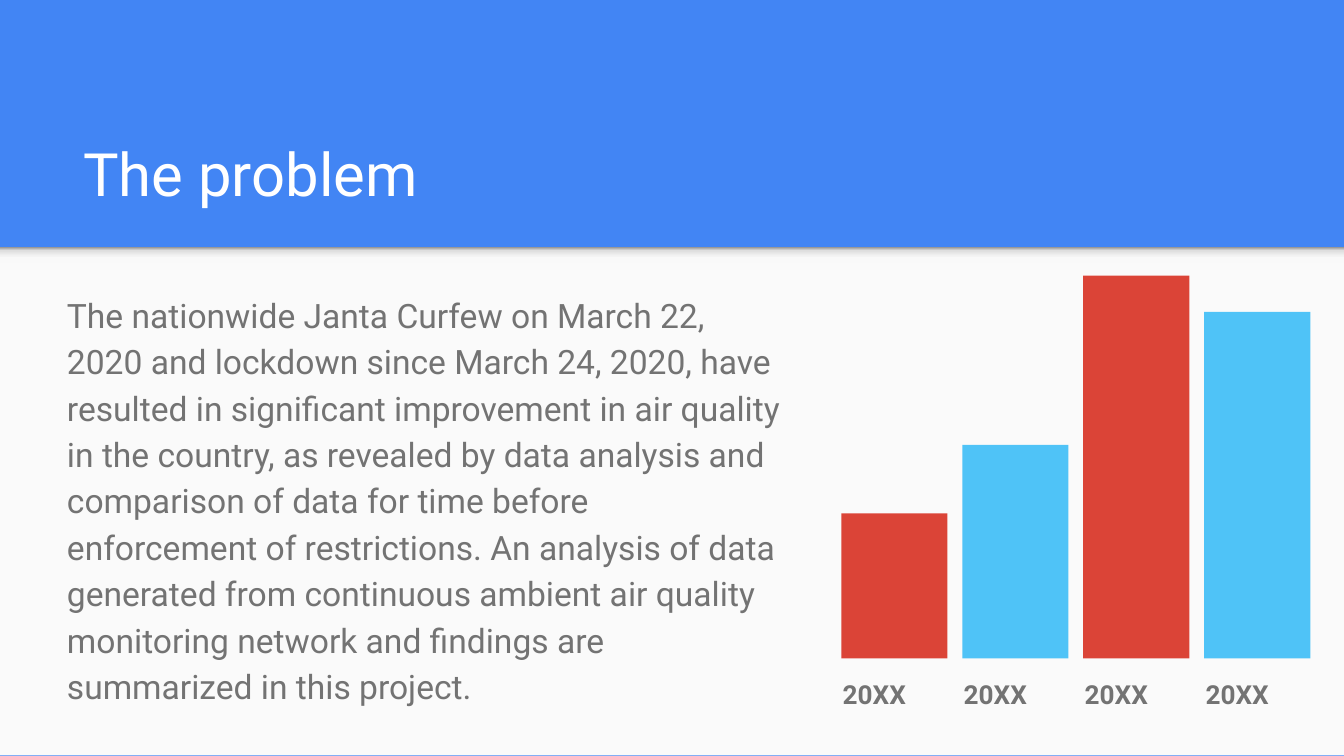
import copy

import lxml.etree
import pptx
import pptx.dml.color
import pptx.enum.shapes
import pptx.enum.text
import pptx.oxml.ns
import pptx.util

Inches = pptx.util.Inches
qn = pptx.oxml.ns.qn
COLORS = {
    "banner": "4285F4", "panel": "FAFAFA", "title": "FFFFFF", "text": "737373",
    "red": "DB4437", "blue": "4FC3F7",
}
MARGINS = {"margin_" + side: Inches(0.1) for side in ("left", "top", "right", "bottom")}
# Position from the bottom up, as a share of the band height
SHADOW_STOPS = [(0.36, "F9F9F9"), (0.8, "DEDEDE"), (1, "999999")]
BODY = (
    "The nationwide Janta Curfew on March 22, 2020 and lockdown since March 24, 2020, "
    "have resulted in significant improvement in air quality in the country, as revealed "
    "by data analysis and comparison of data for time before enforcement of restrictions. "
    "An analysis of data generated from continuous ambient air quality monitoring network "
    "and findings are summarized in this project."
)
# Label, bar height in inches, colour
YEARS = [("20XX", 1.08, "red"), ("20XX", 1.59, "blue"),
         ("20XX", 2.85, "red"), ("20XX", 2.58, "blue")]


def rgb(value):
    return pptx.dml.color.RGBColor.from_string(value)


def apply(target, values):
    for name, value in values.items():
        setattr(target, name, value)


def box_format(box):
    names = ("left", "top", "width", "height")
    return {name: Inches(length) for name, length in zip(names, box)}


def add_rectangle(slide, box, color=None):
    rectangle = slide.shapes.add_shape(
        pptx.enum.shapes.MSO_SHAPE.RECTANGLE, *map(Inches, box))
    rectangle.shadow.inherit = False
    rectangle.line.fill.background()
    if color:
        rectangle.fill.solid()
        rectangle.fill.fore_color.rgb = rgb(COLORS[color])
    return rectangle


def write_text(frame, text, color, size, bold=False, **paragraph_format):
    paragraph = frame.paragraphs[0]
    apply(paragraph, {"alignment": pptx.enum.text.PP_ALIGN.LEFT, **paragraph_format})
    run = paragraph.add_run()
    run.text = text
    apply(run.font, {"name": "Roboto", "size": pptx.util.Pt(size), "bold": bold})
    run.font.color.rgb = rgb(COLORS[color])


def clear_cell(cell):
    cell.fill.background()
    properties = cell._tc.get_or_add_tcPr()
    for index, side in enumerate(("a:lnL", "a:lnR", "a:lnT", "a:lnB")):
        border = lxml.etree.Element(qn(side))
        lxml.etree.SubElement(border, qn("a:noFill"))
        properties.insert(index, border)


def add_panel(slide, box):
    left, top, width, _ = box
    add_rectangle(slide, box, "panel")

    # Soft shadow under the banner
    shadow = add_rectangle(slide, (left, top, width, 0.12))
    shadow.fill.gradient()
    shadow.fill.gradient_angle = 90
    stop_list = shadow.element.spPr.find(".//" + qn("a:gsLst"))
    stop_list.append(copy.deepcopy(stop_list[0]))
    for stop, (position, color) in zip(shadow.fill.gradient_stops, SHADOW_STOPS):
        stop.position = position
        stop.color.rgb = rgb(color)


def set_title(slide, box):
    title = slide.shapes.title
    apply(title, box_format(box))
    apply(title.text_frame, {
        **MARGINS, "word_wrap": True,
        "vertical_anchor": pptx.enum.text.MSO_ANCHOR.BOTTOM,
        "auto_size": pptx.enum.text.MSO_AUTO_SIZE.NONE})
    write_text(title.text_frame, "The problem", "title", 32, line_spacing=1.0)


def add_body(slide, box):
    body = slide.shapes.add_textbox(*map(Inches, box))
    apply(body.text_frame, {**MARGINS, "word_wrap": True})
    write_text(body.text_frame, BODY, "text", 18, line_spacing=1.15,
               space_after=pptx.util.Pt(16))


def add_year_bars(slide, box):
    left, top, width, height = box
    pitch = width / len(YEARS)
    bar_width, label_gap, inset = 0.79, 0.03, 0.09
    baseline = top + height

    # Year labels
    labels = slide.shapes.add_table(1, len(YEARS), *map(
        Inches, (left, baseline + label_gap, width, 0.26))).table
    apply(labels, {"first_row": False, "horz_banding": False})
    for column, (label, bar_height, color) in enumerate(YEARS):
        cell = labels.cell(0, column)
        clear_cell(cell)
        apply(cell, MARGINS)
        write_text(cell.text_frame, label, "text", 14, bold=True, line_spacing=1.15)

        # Bar above its label
        add_rectangle(slide, (left + inset + column * pitch, baseline - bar_height,
                              bar_width, bar_height), color)


def build_problem_slide(presentation):
    slide = presentation.slides.add_slide(presentation.slide_layouts[5])
    slide.background.fill.solid()
    slide.background.fill.fore_color.rgb = rgb(COLORS["banner"])
    add_panel(slide, (0, 1.84, 10, 3.78))
    set_title(slide, (0.52, 0.81, 8.99, 0.84))
    add_body(slide, (0.4, 2.05, 5.55, 3.22))
    add_year_bars(slide, (6.17, 2.05, 3.6, 2.85))


def main():
    presentation = pptx.Presentation()
    # Widescreen, 16 to 9
    apply(presentation, {"slide_width": Inches(10), "slide_height": Inches(10 * 9 / 16)})
    build_problem_slide(presentation)
    presentation.save("out.pptx")


if __name__ == "__main__":
    main()
